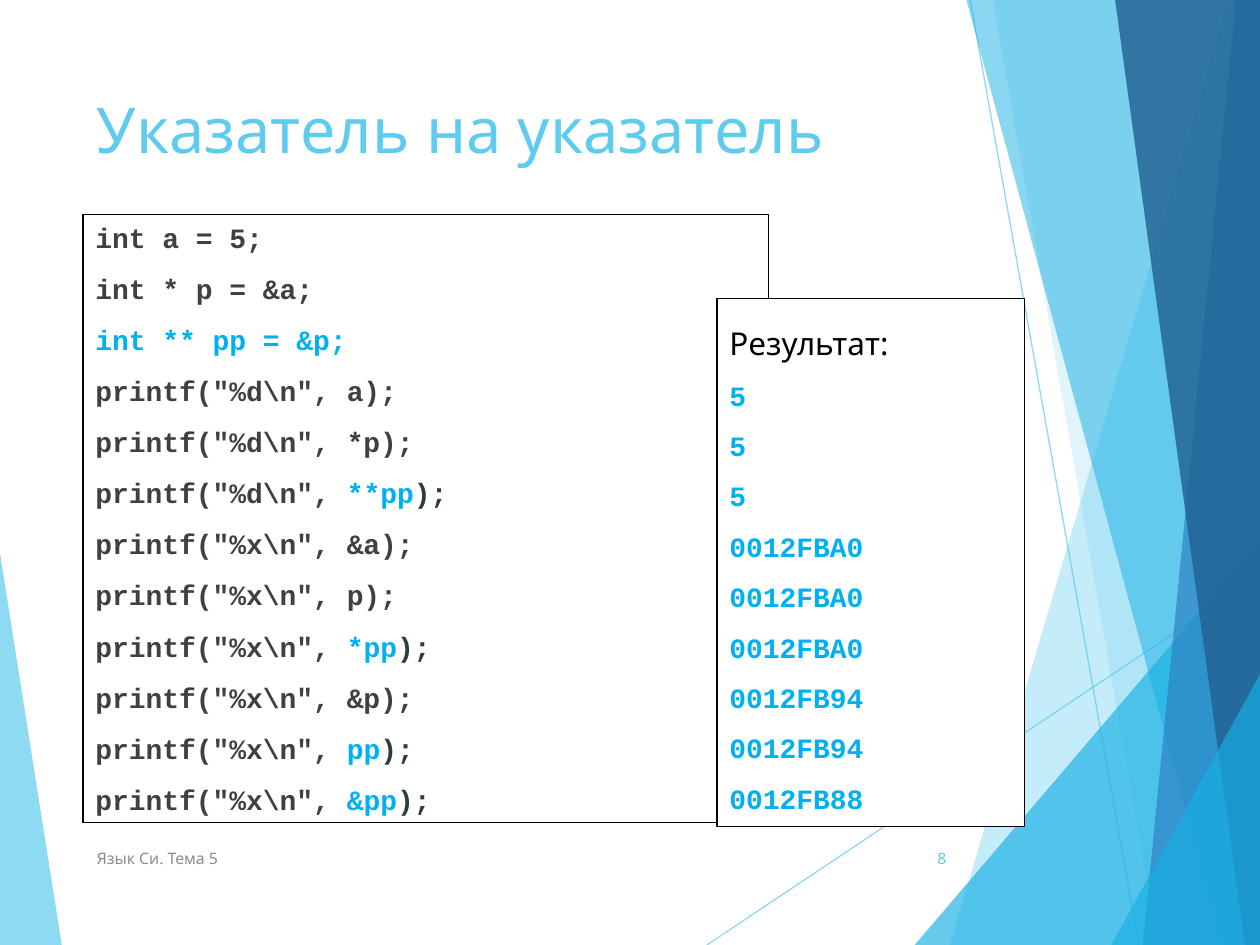
"""Build the slide about pointers to pointers in C."""
import pptx
import pptx.util
import pptx.dml.color
import pptx.enum.shapes
import pptx.enum.text
import pptx.oxml
import pptx.oxml.ns
import lxml.etree

Inches = pptx.util.Inches
Pt = pptx.util.Pt
RGBColor = pptx.dml.color.RGBColor
MSO_ANCHOR = pptx.enum.text.MSO_ANCHOR
PP_ALIGN = pptx.enum.text.PP_ALIGN

SKY = RGBColor(0x5F, 0xCB, 0xEF)
CYAN = RGBColor(0x17, 0xB0, 0xE4)
BLUE = RGBColor(0x2E, 0x83, 0xC3)
NAVY = RGBColor(0x22, 0x62, 0x92)
ACCENT = RGBColor(0x00, 0xB0, 0xF0)
CODE = RGBColor(0x40, 0x40, 0x40)
SLATE = RGBColor(0x2C, 0x3C, 0x43)
GRAY = RGBColor(0x8C, 0x8C, 0x8C)
BLACK = RGBColor(0, 0, 0)
WHITE = RGBColor(0xFF, 0xFF, 0xFF)
SANS = "Noto Sans"
MONO = "Courier New"


def set_opacity(shape, percent):
    color = next(shape._element.spPr.iter(pptx.oxml.ns.qn("a:srgbClr")))
    alpha = lxml.etree.SubElement(color, pptx.oxml.ns.qn("a:alpha"))
    alpha.set("val", str(percent * 1000))


def style(paragraph, name, size, color, bold=False):
    paragraph.font.name = name
    paragraph.font.size = Pt(size)
    paragraph.font.bold = bold
    if color is not None:
        paragraph.font.color.rgb = color


presentation = pptx.Presentation()
presentation.slide_width = Inches(10)
presentation.slide_height = Inches(7.5)
slide = presentation.slides.add_slide(presentation.slide_layouts[6])
shapes = slide.shapes

facets = [
    ([(0, 4.39), (0.49, 7.5), (0, 7.5)], SKY, 70),
    ([(9.75, 0), (7.54, 7.5), (10, 7.5), (10, 0)], SKY, 36),
    ([(7.88, 0), (9.19, 7.5), (10, 7.5), (10, 0)], SKY, 20),
    ([(7.26, 7.5), (10, 4.29), (10, 7.5)], CYAN, 66),
    ([(7.67, 0), (9.7, 7.5), (10, 7.5), (10, 0)], CYAN, 50),
    ([(9.81, 0), (9.07, 7.5), (10, 7.5), (10, 0)], BLUE, 70),
    ([(8.85, 0), (9.88, 7.5), (10, 7.5), (10, 0)], NAVY, 82),
    ([(8.82, 7.5), (10, 5.35), (10, 7.5)], CYAN, 66),
]
rays = [(5.61, 7.5, 10, 4.57), (7.7, 0, 9.04, 7.5)]

for index, (points, color, opacity) in enumerate(facets):
    corners = [(Inches(x), Inches(y)) for x, y in points]
    builder = shapes.build_freeform(*corners[0])
    builder.add_line_segments(corners[1:], close=True)
    facet = builder.convert_to_shape()
    facet.shadow.inherit = False
    facet.fill.solid()
    facet.fill.fore_color.rgb = color
    facet.line.fill.background()
    set_opacity(facet, opacity)
    if index == 0:
        for ray in rays:
            connector = shapes.add_connector(
                pptx.enum.shapes.MSO_CONNECTOR.STRAIGHT, *map(Inches, ray))
            connector.line.color.rgb = SKY
            connector.line.width = Pt(0.75)
            set_opacity(connector, 70)
            lxml.etree.SubElement(
                connector._element.spPr, pptx.oxml.ns.qn("a:effectLst"))

labels = [
    ("Указатель на указатель", (0.67, 0.67, 6.94, 1.04), 36, SKY, MSO_ANCHOR.TOP, PP_ALIGN.LEFT),
    ("Язык Си. Тема 5", (0.67, 6.61, 5.06, 0.4), 9, GRAY, MSO_ANCHOR.MIDDLE, PP_ALIGN.LEFT),
    ("8", (7.05, 6.61, 0.56, 0.4), 9, SKY, MSO_ANCHOR.MIDDLE, PP_ALIGN.RIGHT),
]
for text, bounds, size, color, anchor, alignment in labels:
    frame = shapes.add_textbox(*map(Inches, bounds)).text_frame
    frame.word_wrap = True
    frame.vertical_anchor = anchor
    paragraph = frame.paragraphs[0]
    paragraph.text = text
    paragraph.alignment = alignment
    style(paragraph, SANS, size, color)

panels = []
for bounds in [(0.66, 1.7, 5.44, 4.83), (5.69, 2.37, 2.44, 4.19)]:
    panel = shapes.add_shape(
        pptx.enum.shapes.MSO_SHAPE.RECTANGLE, *map(Inches, bounds))
    panel.shadow.inherit = False
    panel.line.color.rgb = BLACK
    panel.line.width = Pt(0.75)
    panel.text_frame.word_wrap = True
    panel.text_frame.vertical_anchor = MSO_ANCHOR.TOP
    panels.append(panel)
code_panel, result_panel = panels
code_panel.fill.background()
result_panel.fill.solid()
result_panel.fill.fore_color.rgb = WHITE

code_lines = [
    [("int a = 5;", CODE)],
    [("int * p = &a;", CODE)],
    [("int ** pp = &p;", ACCENT)],
]
for code, arguments in [("d", ["a", "*p", "**pp"]), ("x", ["&a", "p", "*pp", "&p", "pp", "&pp"])]:
    for argument in arguments:
        call = f'printf("%{code}\\n", '
        if argument.endswith("pp"):
            code_lines.append([(call, CODE), (argument, ACCENT), (");", SLATE)])
        else:
            code_lines.append([(f"{call}{argument});", CODE)])

frame = code_panel.text_frame
for index, parts in enumerate(code_lines):
    paragraph = frame.add_paragraph() if index else frame.paragraphs[0]
    paragraph.alignment = PP_ALIGN.LEFT
    paragraph.space_before = Pt(10)
    style(paragraph, MONO, 16, None, bold=True)
    for text, color in parts:
        run = paragraph.add_run()
        run.text = text
        run.font.color.rgb = color

results = ["5"] * 3 + ["0012FBA0"] * 3 + ["0012FB94"] * 2 + ["0012FB88"]
frame = result_panel.text_frame
frame.auto_size = pptx.enum.text.MSO_AUTO_SIZE.SHAPE_TO_FIT_TEXT
for index, text in enumerate(["Результат:"] + results):
    paragraph = frame.add_paragraph() if index else frame.paragraphs[0]
    paragraph.text = text
    paragraph.alignment = PP_ALIGN.LEFT
    paragraph.line_spacing = 1.5
    if index:
        style(paragraph, MONO, 16, ACCENT, bold=True)
    else:
        style(paragraph, SANS, 18, BLACK)

presentation.save("out.pptx")
